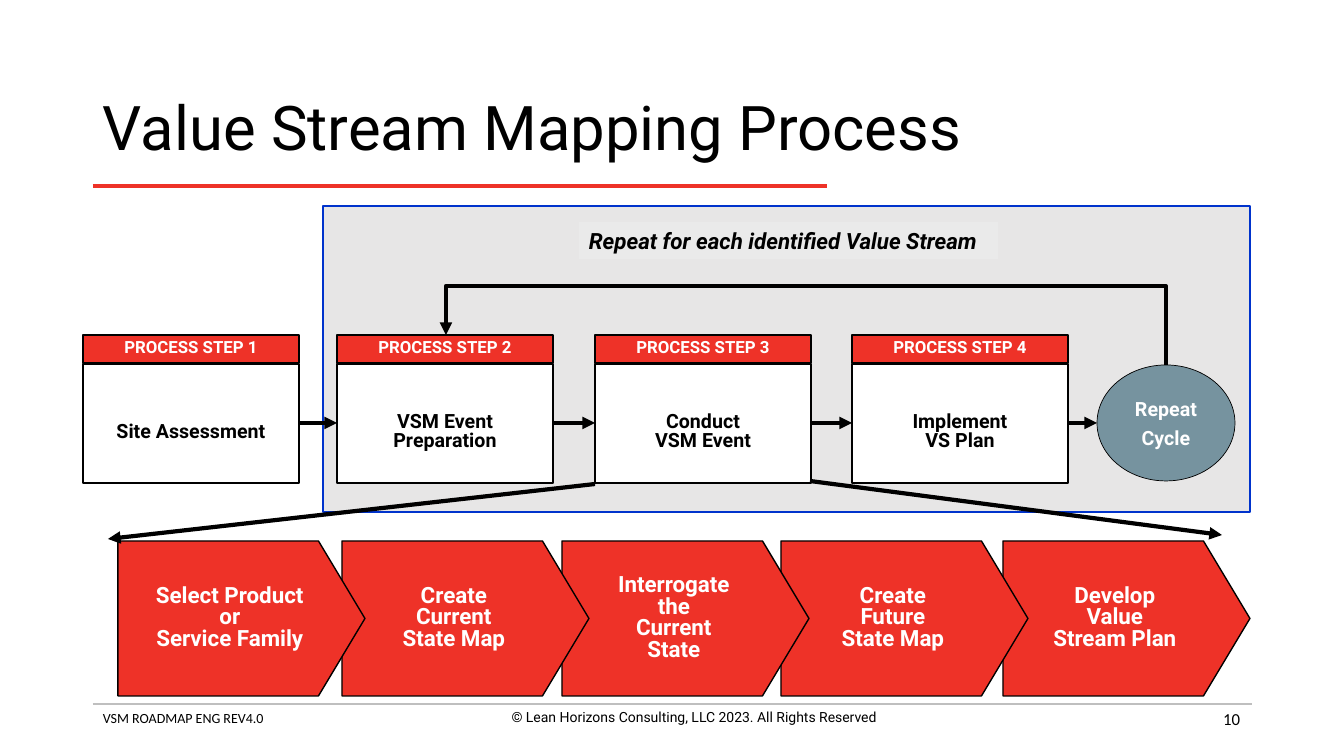
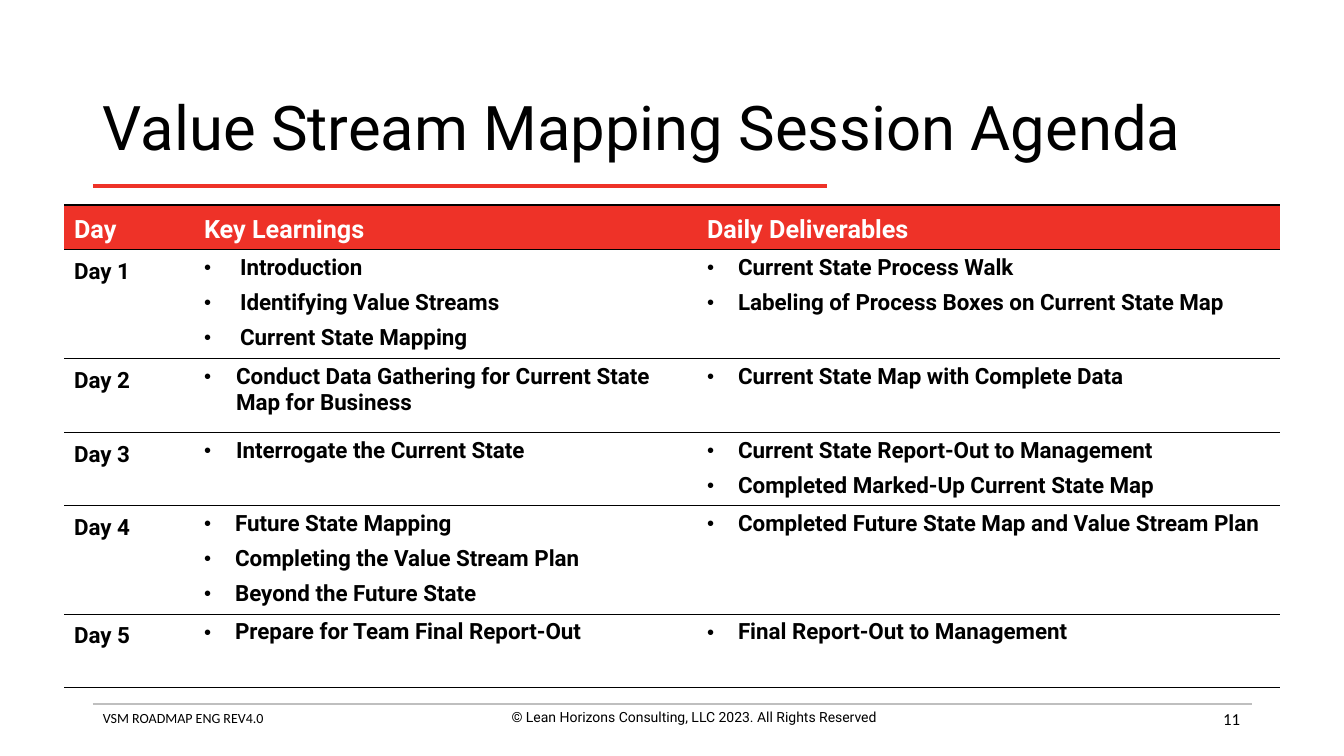
from lxml import etree
from pptx import Presentation
from pptx import util as u
from pptx.dml.color import RGBColor
from pptx.enum import shapes, text
from pptx.oxml import ns

SCALE = 914400 / 100.8
RED, BLACK, WHITE = "EE3228", "000000", "FFFFFF"
GREY, PANEL, LABEL = "BFBFBF", "E7E6E6", "EAEAEA"
BLUE, SLATE = "0033CC", "76939F"
MIDDLE, BOTTOM = text.MSO_ANCHOR.MIDDLE, text.MSO_ANCHOR.BOTTOM
LEFT, CENTER, RIGHT = text.PP_ALIGN.LEFT, text.PP_ALIGN.CENTER, text.PP_ALIGN.RIGHT
SHAPE, LINK = shapes.MSO_SHAPE, shapes.MSO_CONNECTOR


def px(*sizes):
    return [u.Emu(round(size * SCALE)) for size in sizes]


def rgb(code):
    return RGBColor.from_string(code)


def tag(parent, kind, /, **attrs):
    node = etree.SubElement(parent, ns.qn("a:" + kind))
    for key, value in attrs.items():
        node.set(key, str(value))
    return node


def bullet(para, indent):
    props = para._p.get_or_add_pPr()
    gap = px(indent)[0]
    props.set("marL", str(gap))
    props.set("indent", str(-gap))
    tag(tag(props, "buClr"), "srgbClr", val=BLACK)
    tag(props, "buSzPct", val=90000)
    tag(props, "buFont", typeface="Arial")
    tag(props, "buChar", char="•")


def write(frame, lines, size=16, color=BLACK, font="Roboto", bold=False,
          italic=False, align=LEFT, anchor=None, lead=None, gap=0, indent=0):
    frame.word_wrap = True
    if anchor is not None:
        frame.vertical_anchor = anchor
    for i, line in enumerate(lines.split("\n")):
        para = frame.add_paragraph() if i else frame.paragraphs[0]
        if indent:
            bullet(para, indent)
        para.alignment = align
        para.space_before = u.Pt(gap if i else 0)
        if lead:
            para.line_spacing = lead
        run = para.add_run()
        run.text = line
        style = run.font
        style.name, style.size = font, u.Pt(size)
        style.bold, style.italic = bold, italic
        style.color.rgb = rgb(color)


class Deck:
    def __init__(self):
        self.file = Presentation()
        self.file.slide_width, self.file.slide_height = px(1344, 756)
        self.slide = None

    def page(self, title, number):
        self.slide = self.file.slides.add_slide(self.file.slide_layouts[6])
        self.line(93, 704, 1252, 704, GREY, 2)
        self.text(93, 705, 460, 27, "VSM ROADMAP ENG REV4.0", size=10, font="Calibri")
        self.text(464, 704, 460, 44, "© Lean Horizons Consulting, LLC 2023. All Rights Reserved",
                  size=10, align=CENTER)
        self.line(93, 186, 827, 186, RED)
        self.text(93, 75, 1159, 111, title, size=44, anchor=MIDDLE, lead=0.9)
        self.text(948, 699, 302, 40, str(number), size=12, font="Calibri",
                  align=RIGHT, anchor=MIDDLE)

    def text(self, x, y, w, h, words, **style):
        box = self.slide.shapes.add_textbox(*px(x, y, w, h))
        write(box.text_frame, words, **style)

    def shape(self, kind, x, y, w, h, fill, edge=None, width=1):
        item = self.slide.shapes.add_shape(kind, *px(x, y, w, h))
        item.shadow.inherit = False
        item.fill.solid()
        item.fill.fore_color.rgb = rgb(fill)
        if edge:
            item.line.color.rgb = rgb(edge)
            item.line.width = u.Pt(width)
        else:
            item.line.fill.background()
        return item

    def line(self, x, y, right, low, color=BLACK, width=3, head=False, kind=LINK.STRAIGHT):
        item = self.slide.shapes.add_connector(kind, *px(x, y, right, low))
        item.line.color.rgb = rgb(color)
        item.line.width = u.Pt(width)
        if head:
            tag(item.line._get_or_add_ln(), "tailEnd", type="triangle")
        tag(item._element.spPr, "effectLst")
        return item

    def loop(self, x, y, left, high, turn):
        mid, row = (x + left) // 2, (y + high) // 2
        wide, tall = (y - high) // 2, (x - left) // 2
        item = self.line(mid + wide, row - tall, mid - wide, row + tall,
                         head=True, kind=LINK.ELBOW)
        props = item._element.spPr
        props.find(ns.qn("a:xfrm")).set("rot", "5400000")
        shape = props.find(ns.qn("a:prstGeom"))
        guides = shape.find(ns.qn("a:avLst"))
        if guides is None:
            guides = tag(shape, "avLst")
        ratio = round((y - turn) / (y - high) * 100000)
        tag(guides, "gd", name="adj1", fmla=f"val {ratio}")

    def step(self, x, number, words):
        body = self.shape(SHAPE.RECTANGLE, x, 364, 216, 119, WHITE, BLACK)
        body.text_frame.margin_top = px(23)[0]
        write(body.text_frame, words, size=14, bold=True, align=CENTER, lead=0.8)
        band = self.shape(SHAPE.RECTANGLE, x, 335, 216, 28, RED, BLACK)
        write(band.text_frame, f"PROCESS STEP {number}", size=12, color=WHITE,
              bold=True, align=CENTER, lead=0.8)

    def phase(self, x, words):
        item = self.shape(SHAPE.PENTAGON, x, 541, 247, 155, RED, BLACK)
        item.adjustments[0] = 0.3
        write(item.text_frame, words, color=WHITE, bold=True, align=CENTER, lead=0.8)

    def table(self, x, y, cols, rows):
        grid = self.slide.shapes.add_table(
            len(rows), len(cols), *px(x, y, sum(cols), sum(rows))).table
        grid.first_row = grid.horz_banding = False
        for col, width in zip(grid.columns, px(*cols)):
            col.width = width
        for row, height in zip(grid.rows, px(*rows)):
            row.height = height
        return grid

    def cell(self, cell, words, fill=None, anchor=None, **style):
        props = cell._tc.get_or_add_tcPr()
        for side in "LR":
            tag(tag(props, "ln" + side, w=0), "noFill")
        for side in "TB":
            edge = tag(props, "ln" + side, w=u.Pt(1))
            tag(tag(edge, "solidFill"), "srgbClr", val=BLACK)
        if fill:
            cell.fill.solid()
            cell.fill.fore_color.rgb = rgb(fill)
        else:
            cell.fill.background()
        if anchor is not None:
            cell.vertical_anchor = anchor
        write(cell.text_frame, words, bold=True, **style)


STEPS = [
    (83, "Site Assessment"),
    (337, "VSM Event\nPreparation"),
    (595, "Conduct\nVSM Event"),
    (852, "Implement\nVS Plan"),
]
PHASES = [
    (118, "Select Product\nor\nService Family"),
    (342, "Create\nCurrent\nState Map"),
    (562, "Interrogate\nthe\nCurrent\nState"),
    (781, "Create\nFuture\nState Map"),
    (1003, "Develop\nValue\nStream Plan"),
]
HEADS = ["Day", "Key Learnings", "Daily Deliverables"]
AGENDA = [
    (36, "Introduction\nIdentifying Value Streams\nCurrent State Mapping",
     "Current State Process Walk\nLabeling of Process Boxes on Current State Map"),
    (32, "Conduct Data Gathering for Current State Map for Business",
     "Current State Map with Complete Data"),
    (32, "Interrogate the Current State",
     "Current State Report-Out to Management\nCompleted Marked-Up Current State Map"),
    (31, "Future State Mapping\nCompleting the Value Stream Plan\nBeyond the Future State",
     "Completed Future State Map and Value Stream Plan"),
    (31, "Prepare for Team Final Report-Out", "Final Report-Out to Management"),
]


def process(deck):
    deck.page("Value Stream Mapping Process", 10)
    deck.shape(SHAPE.RECTANGLE, 323, 206, 927, 306, PANEL, BLUE)
    label = deck.shape(SHAPE.RECTANGLE, 579, 222, 419, 37, LABEL)
    write(label.text_frame, "Repeat for each identified Value Stream",
          bold=True, italic=True)
    cycle = deck.shape(SHAPE.OVAL, 1097, 365, 138, 116, SLATE, BLACK, 0.5)
    write(cycle.text_frame, "Repeat\nCycle", size=14, color=WHITE, bold=True,
          align=CENTER, gap=4.2)
    for number, (x, words) in enumerate(STEPS, 1):
        deck.step(x, number, words)
    stops = [x for x, _ in STEPS[1:]] + [1097]
    for (x, _), stop in zip(STEPS, stops):
        deck.line(x + 216, 423, stop, 423, head=True)
    deck.loop(1166, 365, 446, 335, 286)
    for x, words in reversed(PHASES):
        deck.phase(x, words)
    deck.line(595, 484, 108, 539, head=True)
    deck.line(810, 481, 1222, 535, head=True)


def agenda(deck):
    deck.page("Value Stream Mapping Session Agenda", 11)
    grid = deck.table(64, 205, [130, 503, 583], [43, 106, 74, 73, 106, 73])
    for col, words in enumerate(HEADS):
        deck.cell(grid.cell(0, col), words, RED, BOTTOM, size=18, color=WHITE, lead=1.15)
    for row, (indent, learn, goal) in enumerate(AGENDA, 1):
        deck.cell(grid.cell(row, 0), f"Day {row}", lead=1.15)
        deck.cell(grid.cell(row, 1), learn, gap=6.4, indent=indent)
        deck.cell(grid.cell(row, 2), goal, gap=6.4, indent=31)


def main():
    deck = Deck()
    process(deck)
    agenda(deck)
    deck.file.save("out.pptx")


if __name__ == "__main__":
    main()
